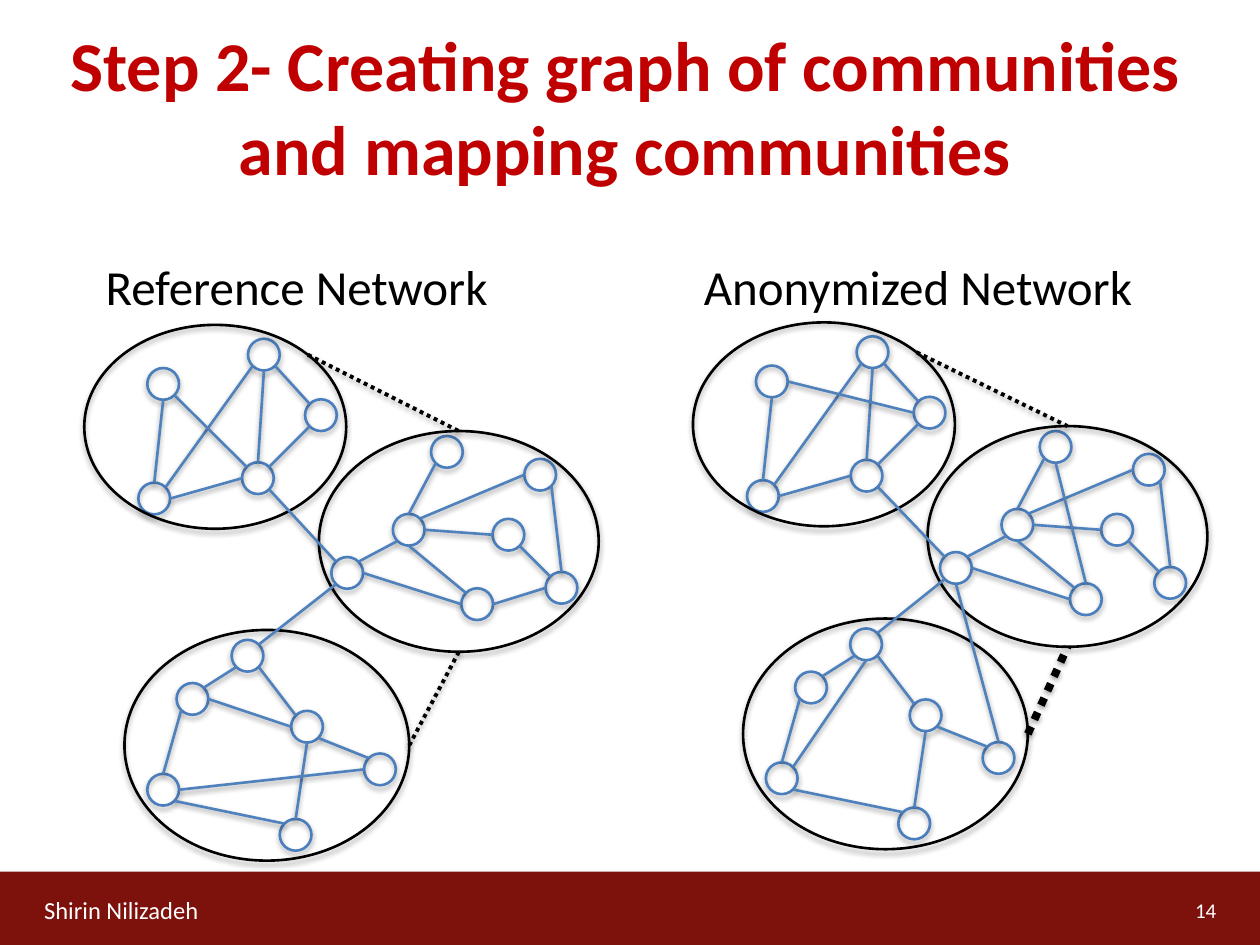
from dataclasses import dataclass
from math import cos, radians, sin

from lxml.etree import SubElement
from pptx import Presentation
from pptx.dml.color import RGBColor
from pptx.enum.dml import MSO_LINE
from pptx.enum.shapes import MSO_CONNECTOR as Connector
from pptx.enum.shapes import MSO_SHAPE as Shape
from pptx.enum.text import MSO_ANCHOR as Anchor
from pptx.enum.text import PP_ALIGN as Align
from pptx.oxml.ns import qn
from pptx.util import Cm, Pt


@dataclass(frozen=True)
class Theme:
    font: str = "Calibri"
    title: str = "C00000"
    text: str = "000000"
    footer: str = "7D110C"
    footer_text: str = "FFFFFF"
    node: str = "4B7EBC"
    edge: str = "4F81BD"
    community: str = "000000"
    title_size: int = 40
    label_size: int = 28
    author_size: int = 14
    number_size: int = 12


THEME = Theme()
NODE_SIZE = 0.64
ANGLES = {"E": 0, "SE": 45, "S": 90, "SW": 135, "W": 180, "NW": 225, "N": 270, "NE": 315}

NODES = {
    "a1": (2.97, 7.42), "a2": (5, 6.83), "a3": (6.15, 8.05), "a4": (4.88, 9.32),
    "a5": (2.79, 9.73),
    "b1": (8.69, 8.79), "b2": (10.57, 9.25), "b3": (7.92, 10.36), "b4": (9.93, 10.46),
    "b5": (6.68, 11.23), "b6": (11, 11.53), "b7": (9.3, 11.86),
    "c1": (4.67, 12.9), "c2": (3.56, 13.77), "c3": (5.87, 14.33), "c4": (7.34, 15.19),
    "c5": (2.97, 15.6), "c6": (5.64, 16.51),
}
COMMUNITIES = {
    "a": (1.7, 6.55, 5.28, 4.11),
    "b": (6.43, 8.69, 5.64, 4.45),
    "c": (2.51, 12.7, 5.74, 4.65),
}
REFERENCE_SHIFTS = {"a": (0, 0), "b": (0, 0), "c": (0, 0)}
ANONYMIZED_SHIFTS = {"a": (12.27, -0.05), "b": (12.27, -0.1), "c": (12.47, -0.23)}

SHARED_EDGES = [
    "a3 SW a4 NE", "a5 E a4 W", "a2 S a4 N", "a2 SW a5 NE", "a2 SE a3 NW", "a1 S a5 N",
    "b5 NE b3 SW", "b3 N b1 SW", "b3 E b4 W", "b5 E b7 W", "b2 W b3 NE", "b3 S b7 NW",
    "b4 SE b6 NW", "b2 SE b6 N",
    "c2 NE c1 SW", "c1 SE c3 NW", "c5 N c2 SW", "c5 SE c6 NW", "c3 SE c4 NW", "c3 S c6 N",
    "a4 SE b5 NW", "b5 SW c1 NE",
]
REFERENCE_EDGES = ["a1 SE a4 NW", "b6 W b7 E", "c2 E c3 W", "c5 E c4 W"]
ANONYMIZED_EDGES = ["a1 E a3 W", "b1 S b7 N", "c1 S c5 NE", "b5 S c4 N"]


def add_text(slide, text, box, *, size, color, bold=False, align=Align.LEFT, anchor=Anchor.MIDDLE):
    frame = slide.shapes.add_textbox(*map(Cm, box)).text_frame
    frame.word_wrap = True
    frame.vertical_anchor = anchor
    paragraph = frame.paragraphs[0]
    paragraph.alignment = align
    run = paragraph.add_run()
    run.text = text
    run.font.name = THEME.font
    run.font.size = Pt(size)
    run.font.bold = bold
    run.font.color.rgb = RGBColor.from_string(color)


def add_shadow(shape, *, distance, opacity):
    effects = SubElement(shape._element.spPr, qn("a:effectLst"))
    shadow = SubElement(effects, qn("a:outerShdw"), blurRad=str(Pt(3.1)),
                        dist=str(Pt(distance)), dir="5400000", rotWithShape="0")
    color = SubElement(shadow, qn("a:srgbClr"), val="000000")
    SubElement(color, qn("a:alpha"), val=str(opacity * 1000))


def add_ellipse(slide, box, color):
    ellipse = slide.shapes.add_shape(Shape.OVAL, *map(Cm, box))
    ellipse.fill.background()
    ellipse.line.color.rgb = RGBColor.from_string(color)
    ellipse.line.width = Pt(1.5)
    add_shadow(ellipse, distance=1.8, opacity=35)


def add_line(slide, start, end, color, width=1.5, dash=None):
    line = slide.shapes.add_connector(Connector.STRAIGHT, *map(Cm, start + end))
    line.line.color.rgb = RGBColor.from_string(color)
    line.line.width = Pt(width)
    if dash:
        line.line.dash_style = dash
    add_shadow(line, distance=1.6, opacity=38)


def rim_point(box, side):
    left, top, width, height = box
    angle = radians(ANGLES[side])
    return left + width / 2 * (1 + cos(angle)), top + height / 2 * (1 + sin(angle))


def add_network(slide, shifts, edges, lower_link_width):
    def shifted(name, left, top, width, height):
        across, down = shifts[name[0]]
        return left + across, top + down, width, height

    nodes = {name: shifted(name, *place, NODE_SIZE, NODE_SIZE) for name, place in NODES.items()}
    communities = {name: shifted(name, *box) for name, box in COMMUNITIES.items()}
    for box in nodes.values():
        add_ellipse(slide, box, THEME.node)
    for box in communities.values():
        add_ellipse(slide, box, THEME.community)
    for edge in edges:
        first, first_side, second, second_side = edge.split()
        add_line(slide, rim_point(nodes[first], first_side),
                 rim_point(nodes[second], second_side), THEME.edge)
    links = [("a", "NE", "N", 2.25), ("c", "E", "S", lower_link_width)]
    for name, side, hub_side, width in links:
        add_line(slide, rim_point(communities[name], side),
                 rim_point(communities["b"], hub_side),
                 THEME.community, width, MSO_LINE.ROUND_DOT)


def add_footer(slide):
    band = slide.shapes.add_shape(Shape.RECTANGLE, Cm(0), Cm(17.57), Cm(25.4), Cm(1.48))
    band.shadow.inherit = False
    band.fill.solid()
    band.fill.fore_color.rgb = RGBColor.from_string(THEME.footer)
    band.line.fill.background()
    add_text(slide, "Shirin Nilizadeh", (0.64, 17.83, 4.45, 1.02),
             size=THEME.author_size, color=THEME.footer_text)
    add_text(slide, "14", (18.85, 17.83, 5.92, 1.02),
             size=THEME.number_size, color=THEME.footer_text, align=Align.RIGHT)


def main():
    presentation = Presentation()
    presentation.slide_width = Cm(25.4)
    presentation.slide_height = Cm(19.05)
    slide = presentation.slides.add_slide(presentation.slide_layouts[6])
    add_footer(slide)
    add_text(slide, "Step 2- Creating graph of communities and mapping communities",
             (1.07, 0, 23.06, 4.24), size=THEME.title_size, color=THEME.title,
             bold=True, align=Align.CENTER)
    for text, left, width in [("Reference Network", 1.88, 8.69),
                              ("Anonymized Network", 13.94, 9.98)]:
        add_text(slide, text, (left, 5.05, width, 1.45), size=THEME.label_size,
                 color=THEME.text, anchor=Anchor.TOP)
    add_network(slide, REFERENCE_SHIFTS, SHARED_EDGES + REFERENCE_EDGES, 2.25)
    add_network(slide, ANONYMIZED_SHIFTS, SHARED_EDGES + ANONYMIZED_EDGES, 4.5)
    presentation.save("out.pptx")


if __name__ == "__main__":
    main()
